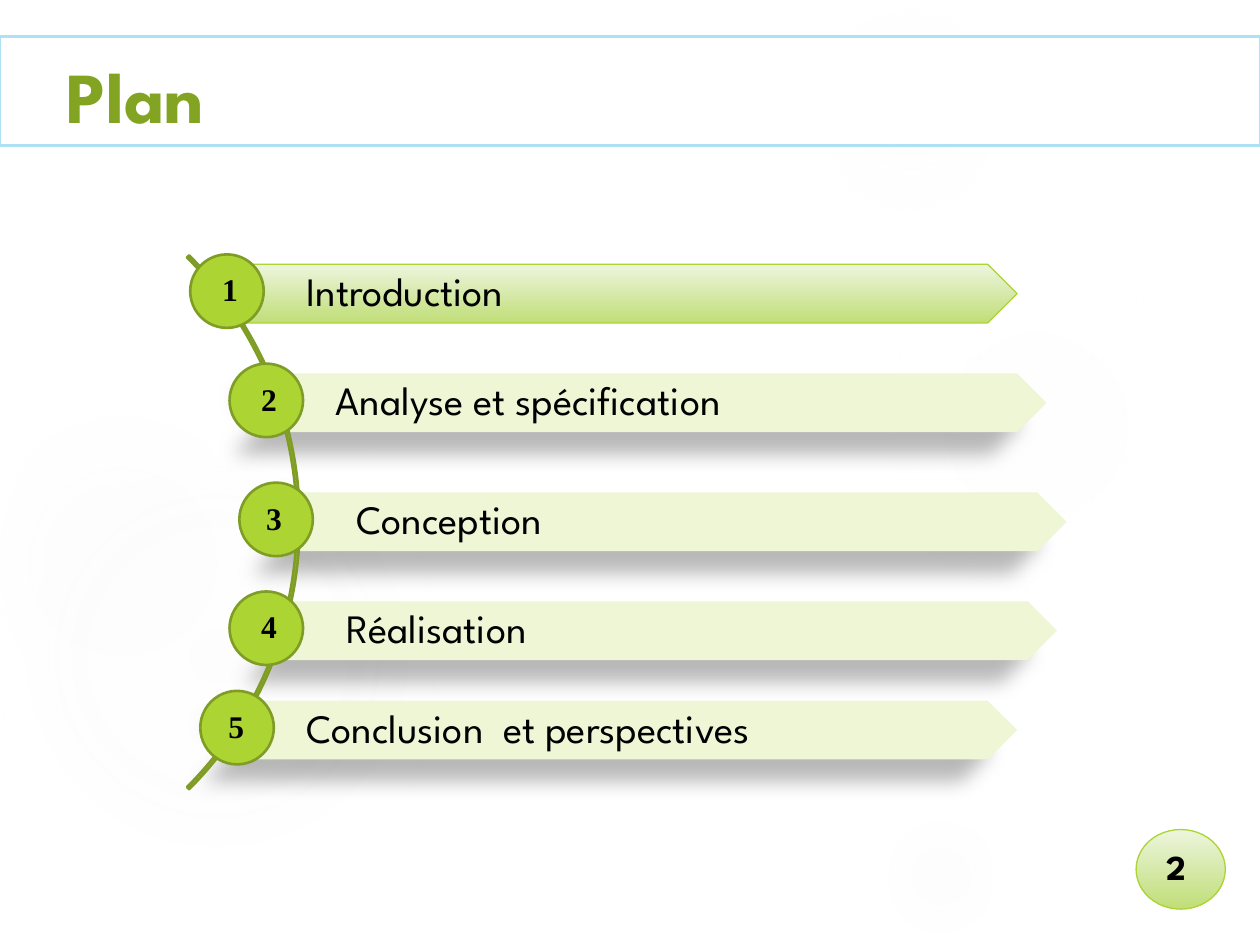
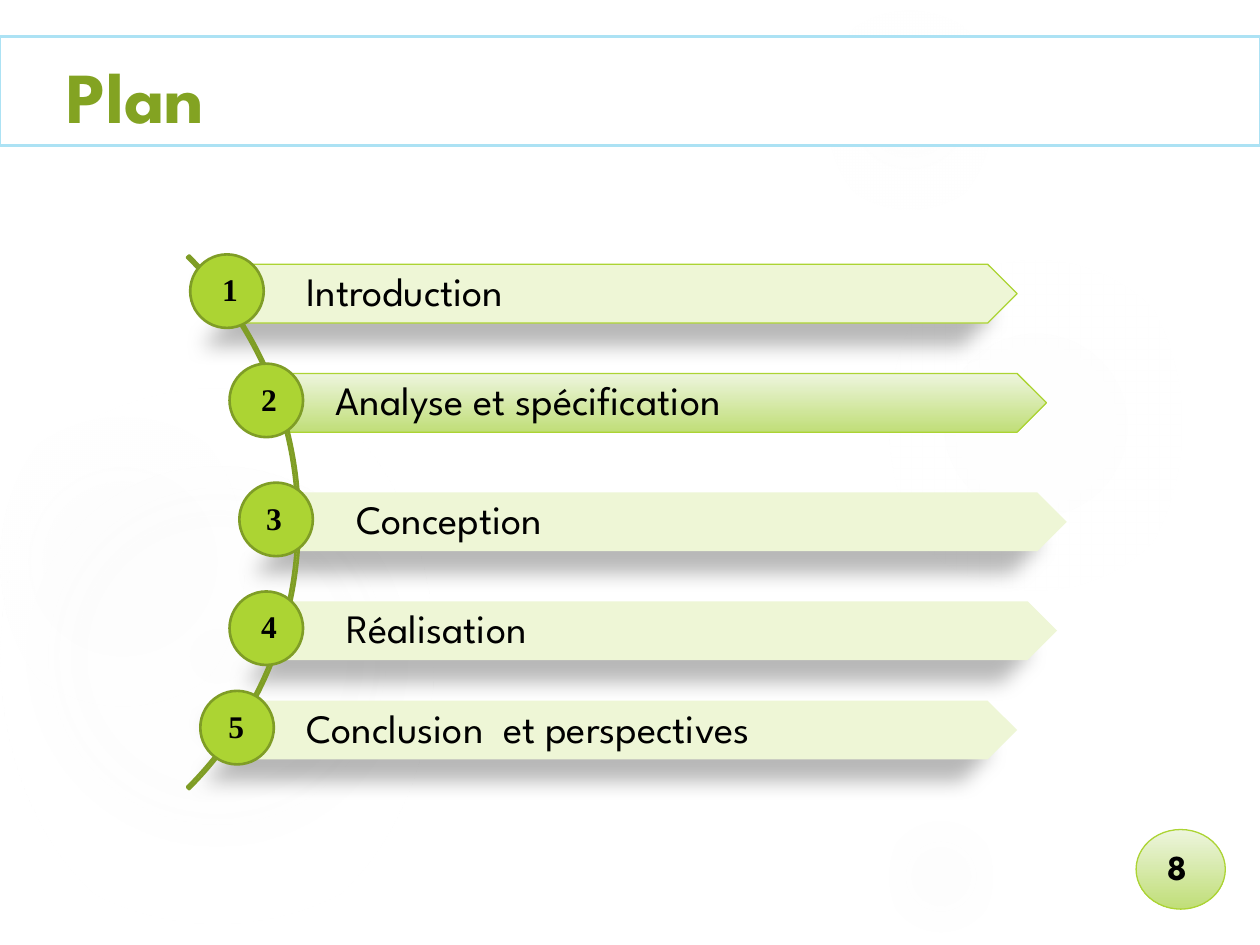
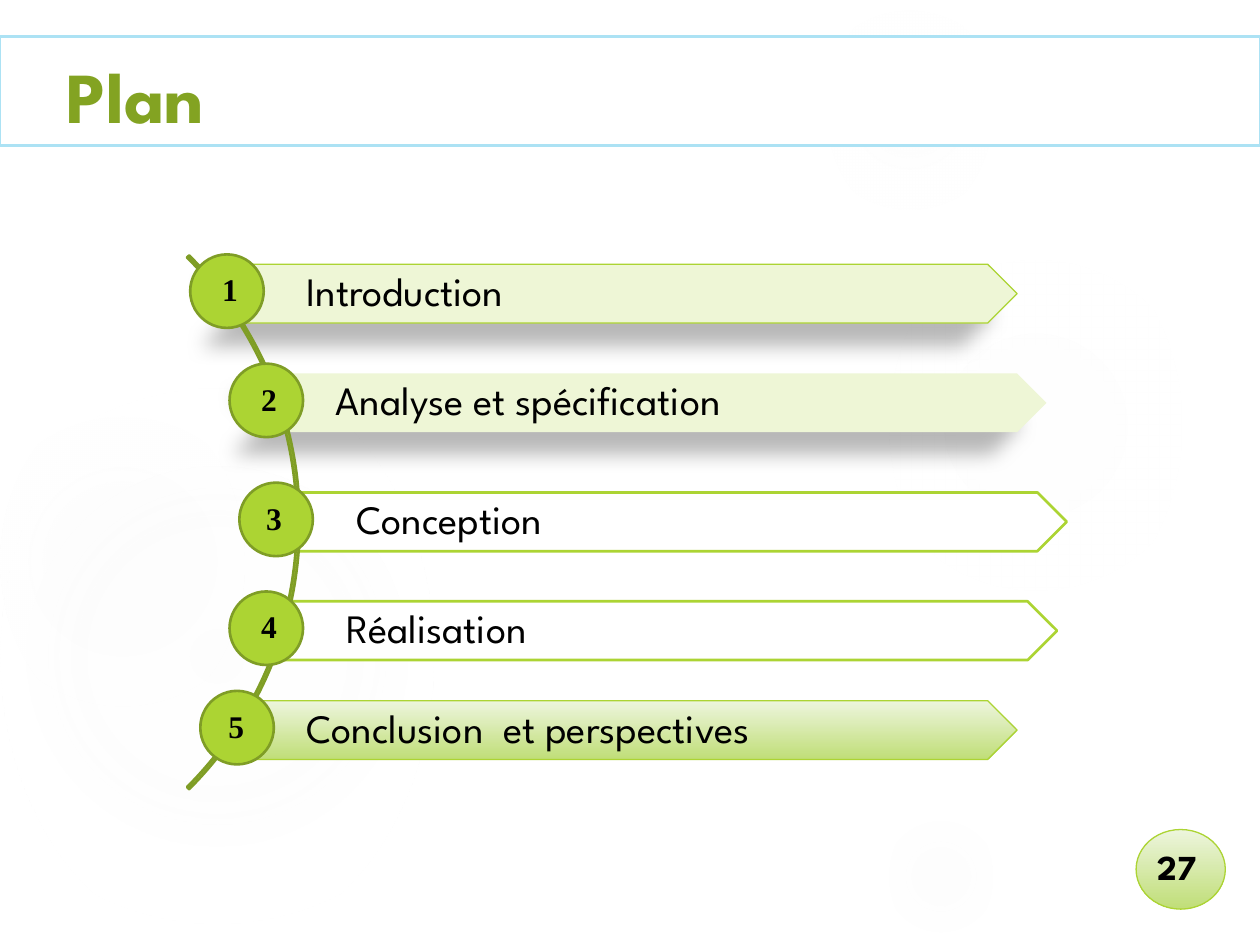
from pptx import Presentation
from pptx.dml.color import RGBColor
from pptx.enum import shapes, text
from pptx.oxml import ns, parse_xml
from pptx.util import Pt

LIME, OLIVE, PALE = "ACD433", "7F9D26", "EEF6D6"
HIGHLIGHT = [(0, "EDF5DD", 100), (100, "C0DE78", 100)]
HEADING_FONT, NUMBER_FONT = "League Spartan", "Times New Roman"
OVAL = shapes.MSO_SHAPE.OVAL


def paint(shape, fill, line=None, width=0.75, radial=False, shadow=False):
    """Fill with a hex colour, or with gradient stops of (position, hex, opacity)."""
    properties = shape.element.spPr
    if isinstance(fill, str):
        shape.fill.solid()
        shape.fill.fore_color.rgb = RGBColor.from_string(fill)
    else:
        stops = "".join(
            f'<a:gs pos="{position * 1000}"><a:srgbClr val="{color}">'
            f'<a:alpha val="{opacity * 1000}"/></a:srgbClr></a:gs>'
            for position, color, opacity in fill)
        direction = '<a:lin ang="5400000" scaled="0"/>'
        if radial:
            direction = ('<a:path path="circle"><a:fillToRect l="50000" t="50000" '
                         'r="50000" b="50000"/></a:path>')
        shape.fill.background()
        properties.replace(properties.find(ns.qn("a:noFill")), parse_xml(
            f'<a:gradFill {ns.nsdecls("a")} rotWithShape="1">'
            f'<a:gsLst>{stops}</a:gsLst>{direction}</a:gradFill>'))
    if line:
        shape.line.color.rgb = RGBColor.from_string(line)
        shape.line.width = Pt(width)
    else:
        shape.line.fill.background()
    shape.shadow.inherit = False
    if shadow:
        properties.find(ns.qn("a:effectLst")).append(parse_xml(
            f'<a:outerShdw {ns.nsdecls("a")} blurRad="{Pt(11.8)}" dist="{Pt(19.7)}" '
            f'dir="{141 * 60000}" algn="ctr" rotWithShape="0">'
            '<a:srgbClr val="000000"><a:alpha val="28000"/></a:srgbClr></a:outerShdw>'))


def write(shape, content, size, font=HEADING_FONT, color="000000", bold=True,
          align=text.PP_ALIGN.LEFT, anchor=text.MSO_ANCHOR.TOP,
          insets=(7.2, 3.6, 7.2, 3.6), spacing=1.0, wrap=True):
    frame = shape.text_frame
    frame.text = content
    frame.word_wrap = wrap
    frame.auto_size = text.MSO_AUTO_SIZE.NONE
    frame.vertical_anchor = anchor
    (frame.margin_left, frame.margin_top,
     frame.margin_right, frame.margin_bottom) = map(Pt, insets)
    paragraph = frame.paragraphs[0]
    paragraph.alignment = align
    paragraph.line_spacing = spacing
    run = paragraph.runs[0]
    run.font.name, run.font.size, run.font.bold = font, Pt(size), bold
    run.font.color.rgb = RGBColor.from_string(color)


# left, top, width, height, then (position, opacity) of the three stops
BUBBLES = [
    (0, 210, 247.5, 330, [(0, 11), (36, 10), (75, 0)]),
    (0, 228, 139.5, 186, [(0, 8), (36, 8), (72, 0)]),
    (508.5, 132, 166.5, 222, [(0, 7), (36, 6), (69, 0)]),
    (472.5, 0, 94.5, 126, [(0, 14), (36, 7), (73, 0)]),
    (508.5, 462, 58.5, 78, [(0, 14), (36, 7), (66, 0)]),
]
# chapter, left and top of its arrow, left of its disc, centre of its number
CHAPTERS = [
    ("Introduction", 131.2, 151, 108.7, 131.4),
    ("Analyse et spécification", 148, 213.4, 131.2, 153.7),
    ("Conception", 159.6, 281.4, 136.8, 156.6),
    ("Réalisation", 154, 343.6, 131.2, 153.7),
    ("Conclusion  et perspectives", 131.2, 400.4, 114.5, 135),
]
ARROW_WIDTH, ARROW_HEIGHT, NOTCH = 450, 33.6, 16.8
DISC, NUMBER_WIDTH = 42, 34
STYLES = {
    "current": dict(fill=HIGHLIGHT, line=LIME),
    "plain": dict(fill=PALE, shadow=True),
    "edged": dict(fill=PALE, line=LIME, shadow=True),
    "hollow": dict(fill="FFFFFF", line=LIME, width=1.5),
}
PLANS = [
    ("2", ["current", "plain", "plain", "plain", "plain"]),
    ("8", ["edged", "current", "plain", "plain", "plain"]),
    ("27", ["edged", "plain", "hollow", "hollow", "current"]),
]

prs = Presentation()
prs.slide_width, prs.slide_height = Pt(720), Pt(540)
layout = prs.slide_layouts.get_by_name("Title Only")
heading = layout.placeholders[0]
heading.left, heading.top, heading.width, heading.height = map(Pt, (31, 26, 323, 57))
slides = [prs.slides.add_slide(layout) for _ in PLANS]

# Backdrop, title band and page badge are drawn once, then moved to the layout
draft = slides[0].shapes
backdrop = []
for *place, fades in BUBBLES:
    bubble = draft.add_shape(OVAL, *map(Pt, place))
    paint(bubble, [(position, "F7F7F7", opacity) for position, opacity in fades],
          radial=True)
    backdrop.append(bubble)
title_band = draft.add_shape(shapes.MSO_SHAPE.RECTANGLE, 0, Pt(20.7), Pt(720), Pt(62.4))
paint(title_band, "FFFFFF", "ACE2F4", 1.5)
badge = draft.add_shape(OVAL, Pt(649.2), Pt(474), Pt(51), Pt(45.5))
paint(badge, HIGHLIGHT, LIME)
for order, shared in enumerate(backdrop + [title_band, badge]):
    shared.element.nvSpPr.cNvPr.id = 20 + order
    layout.shapes.element.insert(2 + order, shared.element)

for slide, (page, styles) in zip(slides, PLANS):
    write(slide.shapes.title, "Plan", 41, color="83A322")

    for (chapter, left, top, _, _), style in zip(CHAPTERS, styles):
        right, bottom = left + ARROW_WIDTH, top + ARROW_HEIGHT
        middle = top + ARROW_HEIGHT / 2
        outline = [(right - NOTCH, top), (right, middle), (right - NOTCH, bottom),
                   (left, bottom), (left + NOTCH, middle)]
        builder = slide.shapes.build_freeform(Pt(left), Pt(top))
        builder.add_line_segments([(Pt(x), Pt(y)) for x, y in outline], close=True)
        arrow = builder.convert_to_shape()
        paint(arrow, **STYLES[style])
        write(arrow, chapter, 23, bold=False, anchor=text.MSO_ANCHOR.MIDDLE,
              insets=(44, 4.3, 21.6, 4.3), spacing=0.9)

    arc = slide.shapes.add_shape(
        shapes.MSO_SHAPE.BLOCK_ARC, Pt(-260), Pt(82.8), Pt(431.3), Pt(431.3))
    arc.adjustments[0], arc.adjustments[1], arc.adjustments[2] = 189, 27, 0.004
    paint(arc, LIME, OLIVE, 1.5)

    for number, (_, _, top, disc_left, centre) in enumerate(CHAPTERS, 1):
        disc = slide.shapes.add_shape(OVAL, Pt(disc_left), Pt(top - 5.6), Pt(DISC), Pt(DISC))
        paint(disc, LIME, OLIVE, 1.5)
        label = slide.shapes.add_textbox(
            Pt(centre - NUMBER_WIDTH / 2), Pt(top), Pt(NUMBER_WIDTH), Pt(29))
        write(label, str(number), 18, font=NUMBER_FONT, align=text.PP_ALIGN.CENTER)

    page_number = slide.shapes.add_textbox(Pt(647), Pt(479.5), Pt(51), Pt(31.7))
    write(page_number, page, 20, align=text.PP_ALIGN.CENTER, wrap=False)

prs.save("out.pptx")
